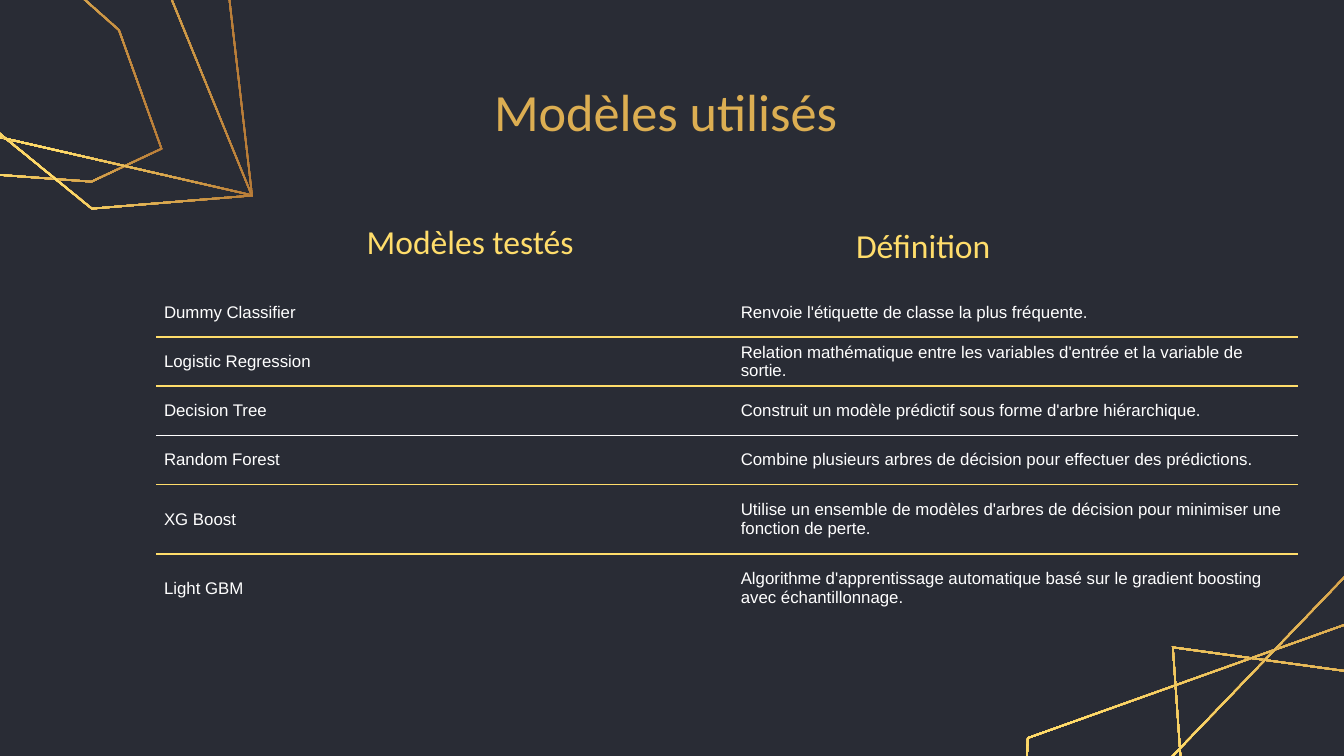
from dataclasses import dataclass
from math import cos, radians, sin

from lxml.etree import SubElement
from pptx import Presentation
from pptx.dml.color import RGBColor
from pptx.enum.text import MSO_ANCHOR, PP_ALIGN
from pptx.oxml import parse_xml
from pptx.oxml.ns import nsdecls, qn
from pptx.util import Cm, Pt

DARK, GOLD, SAND, BROWN, WHITE = "292C35", "FFDD6B", "DCAE52", "AF7132", "FFFFFF"
THICK = 0.03  # width of the decorative outlines, cm


@dataclass
class Ring:
    turn: float
    points: list[complex]


@dataclass
class Label:
    text: str
    left: float
    top: float
    width: float
    height: float
    size: int
    tint: str
    align: PP_ALIGN = PP_ALIGN.LEFT


@dataclass
class Rule:
    tint: str
    width: float


@dataclass
class Model:
    name: str
    meaning: str
    height: float
    below: Rule | None


RINGS = [
    Ring(25.2, [22.78 + 21.21j, 22.15 + 12.22j, 33.22 + 13.74j, 31.22 + 18.01j]),
    Ring(85.2, [-3.91 - 1.12j, -1.14 - 2.46j, 2.26 + 0.56j, 3.07 + 2.82j,
                1.73 + 3.45j, -2.74 + 3.12j]),
    Ring(85.2, [-2.82 + 0.25j, -1.8 - 1.78j, 4.34 - 0.1j, 4.78 + 3.71j, -0.66 + 2.46j]),
    Ring(85.2, [-2.82 + 0.25j, 2.03 - 3.02j, 4.78 + 3.71j, 1.73 + 3.96j]),
    Ring(23.8, [19.2 + 18.64j, 19.41 + 13.94j, 25.93 + 11.61j, 29.54 + 12.17j,
                29.44 + 14.45j, 25.73 + 20.17j]),
    Ring(23.8, [21.29 + 20.07j, 19.3 + 17.25j, 26.06 + 10.21j, 31.45 + 12.45j,
                25.83 + 18.8j]),
]

LABELS = [
    Label("Modèles utilisés ", 5.54, 1.5, 14.3, 1.19, 28, SAND, PP_ALIGN.CENTER),
    Label("Modèles testés", 6.68, 4.06, 5.16, 0.99, 18, GOLD),
    Label("Définition", 15.93, 4.14, 5.16, 0.99, 18, GOLD),
]

BOLD, FINE, PALE = Rule(GOLD, 1), Rule(GOLD, 0.5), Rule(WHITE, 0.5)
LOW, HIGH = 0.93, 1.31
MODELS = [
    Model("Dummy Classifier", "Renvoie l'étiquette de classe la plus fréquente.", LOW, BOLD),
    Model("Logistic Regression", "Relation mathématique entre les variables d'entrée "
          "et la variable de sortie.", LOW, BOLD),
    Model("Decision Tree", "Construit un modèle prédictif sous forme d'arbre "
          "hiérarchique.", LOW, PALE),
    Model("Random Forest", "Combine plusieurs arbres de décision pour effectuer "
          "des prédictions.", LOW, FINE),
    Model("XG Boost", "Utilise un ensemble de modèles d'arbres de décision pour "
          "minimiser une fonction de perte.", HIGH, BOLD),
    Model("Light GBM", "Algorithme d'apprentissage automatique basé sur le gradient "
          "boosting avec échantillonnage.", HIGH, None),
]


def color(code: str) -> RGBColor:
    return RGBColor.from_string(code)


def style(para, face: str, size: int, tint: str) -> None:
    for run in para.runs:
        run.font.name = face
        run.font.size = Pt(size)
        run.font.color.rgb = color(tint)


def inset(points: list[complex]) -> list[complex]:
    """Move every side of a polygon inwards by THICK."""
    area = sum((a.conjugate() * b).imag for a, b in zip(points[-1:] + points, points))
    side = 1j if area > 0 else -1j
    inner = []
    for a, b, c in zip(points[-1:] + points, points, points[1:] + points[:1]):
        m = side * (b - a) / abs(b - a)
        n = side * (c - b) / abs(c - b)
        inner.append(b + THICK * (m + n) / (1 + (m * n.conjugate()).real))
    return inner


def shade(shape) -> None:
    stops = "".join(
        f'<a:gs pos="{pos}"><a:srgbClr val="{code}"/></a:gs>'
        for pos, code in ((0, BROWN), (50000, GOLD), (100000, SAND)))
    grad = parse_xml(
        f'<a:gradFill {nsdecls("a")} rotWithShape="1"><a:gsLst>{stops}</a:gsLst>'
        '<a:lin ang="5400000" scaled="0"/></a:gradFill>')
    shape._element.spPr.find(qn("a:custGeom")).addnext(grad)


def draw_ring(slide, ring: Ring) -> None:
    # Lay the outline flat, then let the shape's rotation turn it back
    turn = complex(cos(radians(ring.turn)), sin(radians(ring.turn)))
    flat = [p / turn for p in ring.points]
    xs, ys = [p.real for p in flat], [p.imag for p in flat]
    mid = complex(min(xs) + max(xs), min(ys) + max(ys)) / 2
    flat = [p + mid * turn - mid for p in flat]

    outer, inner = ([(Cm(p.real), Cm(p.imag)) for p in line]
                    for line in (flat, inset(flat)[::-1]))
    pen = slide.shapes.build_freeform(*outer[0])
    pen.add_line_segments(outer[1:])
    pen.move_to(*inner[0])
    pen.add_line_segments(inner[1:])
    shape = pen.convert_to_shape()
    shape.rotation = ring.turn
    shape.shadow.inherit = False
    shape.line.fill.background()
    shade(shape)


def draw_label(slide, label: Label) -> None:
    box = slide.shapes.add_textbox(
        Cm(label.left), Cm(label.top), Cm(label.width), Cm(label.height))
    frame = box.text_frame
    frame.word_wrap = True
    frame.vertical_anchor = MSO_ANCHOR.MIDDLE
    frame.margin_left = frame.margin_right = Cm(0.25)
    frame.margin_top = frame.margin_bottom = Cm(0.25)
    frame.text = label.text
    para = frame.paragraphs[0]
    para.alignment = label.align
    style(para, "Calibri", label.size, label.tint)


def edge(cell, tag: str, rule: Rule | None) -> None:
    line = SubElement(cell._tc.get_or_add_tcPr(), qn(f"a:{tag}"))
    if rule:
        line.set("w", str(Pt(rule.width)))
        fill = SubElement(line, qn("a:solidFill"))
        SubElement(fill, qn("a:srgbClr")).set("val", rule.tint)
    else:
        SubElement(line, qn("a:noFill"))


def draw_table(slide, models: list[Model]) -> None:
    total = sum(model.height for model in models)
    table = slide.shapes.add_table(
        len(models), 2, Cm(2.95), Cm(5.44), Cm(21.59), Cm(total)).table
    table.first_row = table.horz_banding = False
    for col, width in zip(table.columns, (10.9, 10.69)):
        col.width = Cm(width)

    above = None
    for row, model in zip(table.rows, models):
        row.height = Cm(model.height)
        for cell, text in zip(row.cells, (model.name, model.meaning)):
            cell.text_frame.text = text
            style(cell.text_frame.paragraphs[0], "Arial", 9, WHITE)
            cell.vertical_anchor = MSO_ANCHOR.MIDDLE
            cell.margin_left = cell.margin_right = Cm(0.15)
            cell.margin_top = cell.margin_bottom = Cm(0.08)
            for tag, rule in (("lnL", None), ("lnR", None),
                              ("lnT", above), ("lnB", model.below)):
                edge(cell, tag, rule)
            cell.fill.solid()
            cell.fill.fore_color.rgb = color(DARK)
        above = model.below


def main() -> None:
    deck = Presentation()
    deck.slide_width, deck.slide_height = Cm(25.4), Cm(14.29)
    slide = deck.slides.add_slide(deck.slide_layouts[6])
    slide.background.fill.solid()
    slide.background.fill.fore_color.rgb = color(DARK)

    # Corner decorations
    for ring in RINGS:
        draw_ring(slide, ring)

    # Models and their definitions
    draw_table(slide, MODELS)

    # Title and column headings
    for label in LABELS:
        draw_label(slide, label)

    deck.save("out.pptx")


if __name__ == "__main__":
    main()
